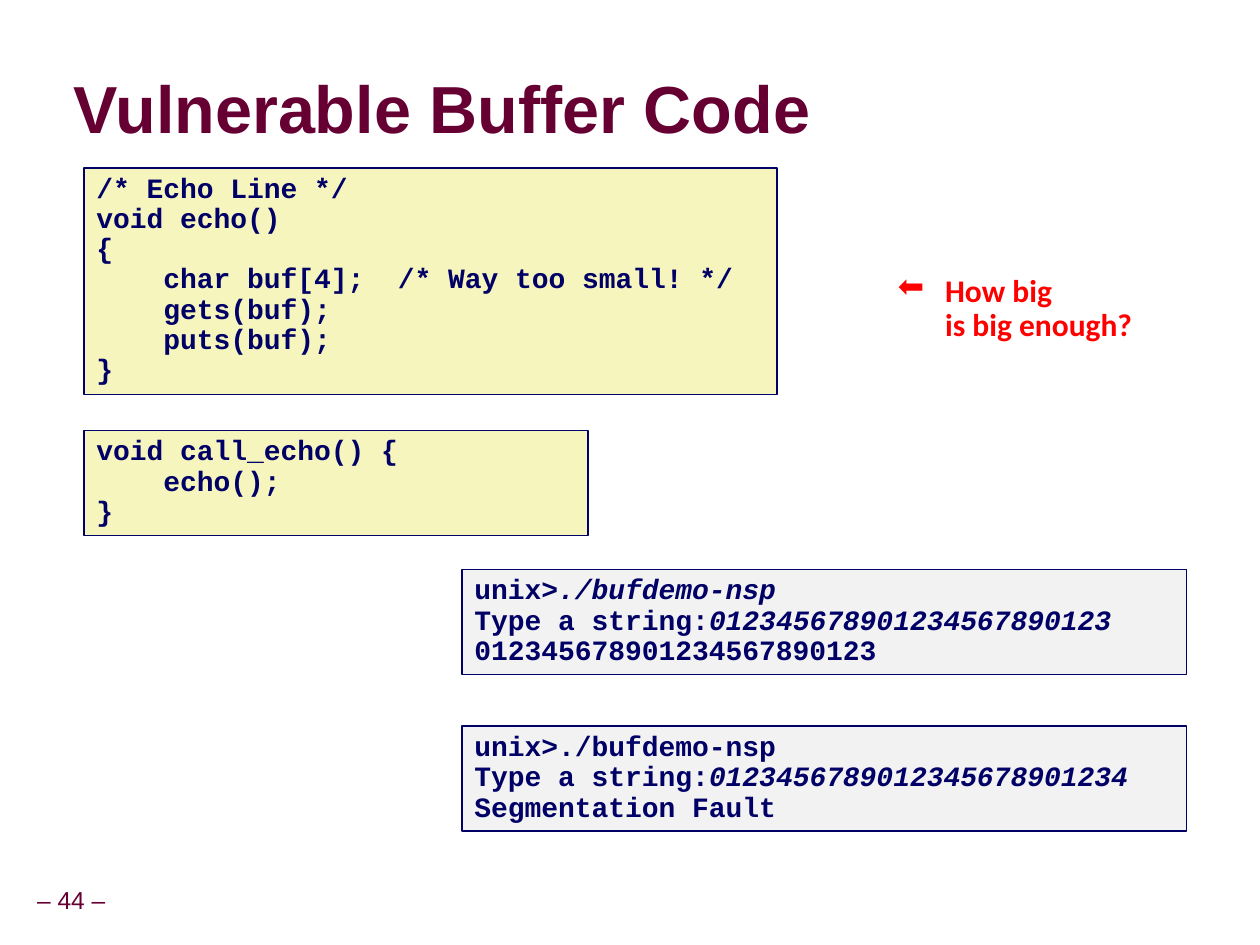
from lxml.etree import SubElement
from pptx import Presentation
from pptx.dml.color import RGBColor
from pptx.enum.shapes import MSO_SHAPE
from pptx.enum.text import MSO_ANCHOR, MSO_AUTO_SIZE, PP_ALIGN
from pptx.oxml import parse_xml
from pptx.oxml.ns import nsdecls, qn
from pptx.util import Pt

theme = {
    "maroon": RGBColor.from_string("660033"),
    "navy": RGBColor.from_string("000066"),
    "red": RGBColor.from_string("FF0000"),
    "source": RGBColor.from_string("F6F5BD"),
    "terminal": RGBColor.from_string("F2F2F2"),
    "title": {"name": "Arial", "size": Pt(38), "bold": True},
    "code": {"name": "Courier New", "size": Pt(16), "bold": True},
    "callout": {"name": "Calibri", "size": Pt(18), "bold": True},
    "number": {"name": "Arial", "size": Pt(14), "bold": False},
}


def set_frame(shape, horizontal, vertical, anchor, wrap=True):
    values = {
        "auto_size": MSO_AUTO_SIZE.NONE,
        "word_wrap": wrap,
        "vertical_anchor": anchor,
        "margin_left": Pt(horizontal),
        "margin_right": Pt(horizontal),
        "margin_top": Pt(vertical),
        "margin_bottom": Pt(vertical),
    }
    for name, value in values.items():
        setattr(shape.text_frame, name, value)


def write_lines(shape, lines, style, color, alignment=PP_ALIGN.LEFT, spacing=0.9):
    frame = shape.text_frame
    for index, line in enumerate(lines):
        paragraph = frame.add_paragraph() if index else frame.paragraphs[0]
        paragraph.alignment = alignment
        paragraph.line_spacing = spacing
        for position, text in enumerate(line):
            run = paragraph.add_run()
            run.text = text
            run.font.color.rgb = color
            for name, value in {**theme[style], "italic": position == 1}.items():
                setattr(run.font, name, value)


presentation = Presentation()
presentation.slide_width = Pt(720)
presentation.slide_height = Pt(540)
slide = presentation.slides.add_slide(presentation.slide_layouts[5])

title = slide.shapes.title
title.left, title.top, title.width, title.height = Pt(42), Pt(42), Pt(505), Pt(45)
set_frame(title, 0, 0, MSO_ANCHOR.MIDDLE)
write_lines(title, [["Vulnerable Buffer Code"]], "title", theme["maroon"], spacing=0.87)
title_font = title.text_frame.paragraphs[0].runs[0].font
title_font.fill._xPr.find(qn("a:solidFill")).addnext(parse_xml(
    f'<a:effectLst {nsdecls("a")}>'
    '<a:outerShdw blurRad="38100" dist="38100" dir="2700000" algn="tl">'
    '<a:srgbClr val="000000"><a:alpha val="43000"/></a:srgbClr>'
    '</a:outerShdw></a:effectLst>'))

echo_code = """/* Echo Line */
void echo()
{
    char buf[4];  /* Way too small! */
    gets(buf);
    puts(buf);
}"""
caller_code = """void call_echo() {
    echo();
}"""
working_session = [
    ["unix>", "./bufdemo-nsp"],
    ["Type a string:", "012345678901234567890123"],
    ["012345678901234567890123"],
]
crashing_session = [
    ["unix>./bufdemo-nsp"],
    ["Type a string:", "0123456789012345678901234"],
    ["Segmentation Fault"],
]
code_boxes = [
    (48, 246, 288, 60, "source", [[line] for line in caller_code.splitlines()]),
    (48, 96, 396, 129.5, "source", [[line] for line in echo_code.splitlines()]),
    (264, 325.5, 414, 60, "terminal", working_session),
    (264, 415, 414, 60, "terminal", crashing_session),
]
for left, top, width, height, fill, lines in code_boxes:
    box = slide.shapes.add_shape(
        MSO_SHAPE.RECTANGLE, Pt(left), Pt(top), Pt(width), Pt(height))
    box.shadow.inherit = False
    box.fill.solid()
    box.fill.fore_color.rgb = theme[fill]
    box.line.color.rgb = theme["navy"]
    box.line.width = Pt(1)
    set_frame(box, 7.2, 3.6, MSO_ANCHOR.TOP)
    write_lines(box, lines, "code", theme["navy"])

callout = slide.shapes.add_textbox(Pt(462), Pt(153.5), Pt(231), Pt(65.5))
set_frame(callout, 7.2, 3.6, MSO_ANCHOR.TOP)
write_lines(callout, [["How big"], ["is big enough?"]], "callout", theme["red"])
for paragraph, indent in zip(callout.text_frame.paragraphs, (-27, 0)):
    properties = paragraph._p.get_or_add_pPr()
    properties.set("marL", str(Pt(71)))
    properties.set("indent", str(Pt(indent)))
    if indent:
        SubElement(properties, qn("a:buChar"), char="⬅")

number = slide.shapes.add_textbox(Pt(17), Pt(504), Pt(47.5), Pt(22.5))
set_frame(number, 3.6, 3.6, MSO_ANCHOR.MIDDLE, wrap=False)
write_lines(number, [["– 44 –"]], "number", theme["maroon"], PP_ALIGN.CENTER)

presentation.save("out.pptx")
